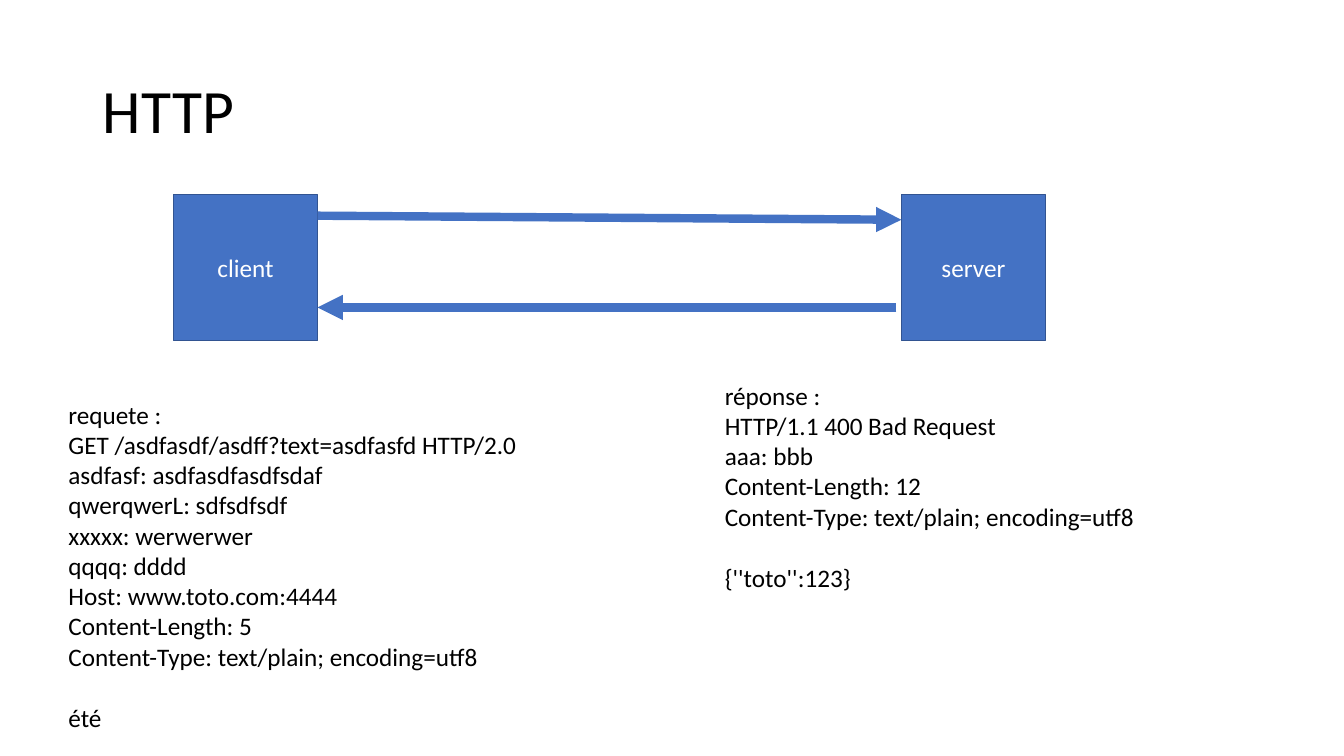
from pptx import Presentation
from pptx.dml.color import RGBColor
from pptx.enum.shapes import MSO_CONNECTOR, MSO_SHAPE
from pptx.enum.text import MSO_ANCHOR, MSO_AUTO_SIZE, PP_ALIGN
from pptx.oxml.ns import qn
from pptx.util import Inches, Pt
from lxml.etree import SubElement

BLUE = RGBColor(0x44, 0x72, 0xC4)
DARK_BLUE = RGBColor(0x32, 0x54, 0x91)
WHITE = RGBColor(0xFF, 0xFF, 0xFF)
BLACK = RGBColor(0x00, 0x00, 0x00)
FONT = "Calibri"
BLANK_LINE = Pt(22)

CLIENT_LEFT, SERVER_LEFT = 1.72, 8.94
BOX_TOP, BOX_WIDTH, BOX_HEIGHT = 1.93, 1.43, 1.45
CLIENT_RIGHT = CLIENT_LEFT + BOX_WIDTH

REQUEST_HEAD = [
    "requete :",
    "GET /asdfasdf/asdff?text=asdfasfd HTTP/2.0",
    "asdfasf: asdfasdfasdfsdaf",
    "qwerqwerL: sdfsdfsdf",
    "xxxxx: werwerwer",
    "qqqq: dddd",
    "Host: www.toto.com:4444",
    "Content-Length: 5",
    "Content-Type: text/plain; encoding=utf8",
]
RESPONSE_HEAD = [
    "réponse :",
    "HTTP/1.1 400 Bad Request",
    "aaa: bbb",
    "Content-Length: 12",
    "Content-Type: text/plain; encoding=utf8",
]


def set_font(p, size, color):
    """Set the font of a whole paragraph."""
    p.font.name = FONT
    p.font.size = Pt(size)
    p.font.color.rgb = color


def set_title(s, text):
    """Place and fill the title placeholder."""
    sp = s.shapes.title
    sp.left, sp.top = Inches(0.92), Inches(0.4)
    sp.width, sp.height = Inches(11.5), Inches(1.45)
    tf = sp.text_frame
    tf.text = text
    tf.vertical_anchor = MSO_ANCHOR.MIDDLE
    p = tf.paragraphs[0]
    p.alignment = PP_ALIGN.LEFT
    p.line_spacing = 0.9
    set_font(p, 44, BLACK)


def add_box(s, left, label):
    """Add one labelled end of the exchange."""
    sp = s.shapes.add_shape(MSO_SHAPE.RECTANGLE, Inches(left), Inches(BOX_TOP),
                            Inches(BOX_WIDTH), Inches(BOX_HEIGHT))
    sp.shadow.inherit = False
    sp.fill.solid()
    sp.fill.fore_color.rgb = BLUE
    sp.line.color.rgb = DARK_BLUE
    sp.line.width = Pt(1)
    tf = sp.text_frame
    tf.text = label
    tf.vertical_anchor = MSO_ANCHOR.MIDDLE
    p = tf.paragraphs[0]
    p.alignment = PP_ALIGN.CENTER
    set_font(p, 18, WHITE)


def add_arrow(s, x1, y1, x2, y2):
    """Add a thick arrow pointing at (x2, y2)."""
    sp = s.shapes.add_connector(MSO_CONNECTOR.STRAIGHT, Inches(x1), Inches(y1),
                                Inches(x2), Inches(y2))
    sp.line.color.rgb = BLUE
    sp.line.width = Pt(6)
    props = sp.element.spPr
    SubElement(props.find(qn("a:ln")), qn("a:tailEnd"), type="triangle")
    SubElement(props, qn("a:effectLst"))


def add_message(s, left, top, width, height, head, body):
    """Add an HTTP message, its body set one line below its head."""
    sp = s.shapes.add_textbox(Inches(left), Inches(top),
                              Inches(width), Inches(height))
    tf = sp.text_frame
    tf.word_wrap = False
    tf.auto_size = MSO_AUTO_SIZE.SHAPE_TO_FIT_TEXT
    tf.text = "\n".join(head + [body])
    for p in tf.paragraphs:
        set_font(p, 18, BLACK)
    tf.paragraphs[-1].space_before = BLANK_LINE


def main():
    """Build the slide and save it."""
    prs = Presentation()
    prs.slide_width, prs.slide_height = Inches(13.33), Inches(7.5)
    s = prs.slides.add_slide(prs.slide_layouts[5])
    set_title(s, "HTTP")
    add_box(s, CLIENT_LEFT, "client")
    add_box(s, SERVER_LEFT, "server")
    add_arrow(s, CLIENT_RIGHT, 2.14, SERVER_LEFT, 2.18)
    add_arrow(s, 8.89, 3.05, CLIENT_RIGHT, 3.05)
    add_message(s, 0.58, 3.91, 4.69, 3.43, REQUEST_HEAD, "été")
    add_message(s, 7.09, 3.72, 4.33, 2.22, RESPONSE_HEAD, "{''toto'':123}")
    prs.save("out.pptx")


main()
